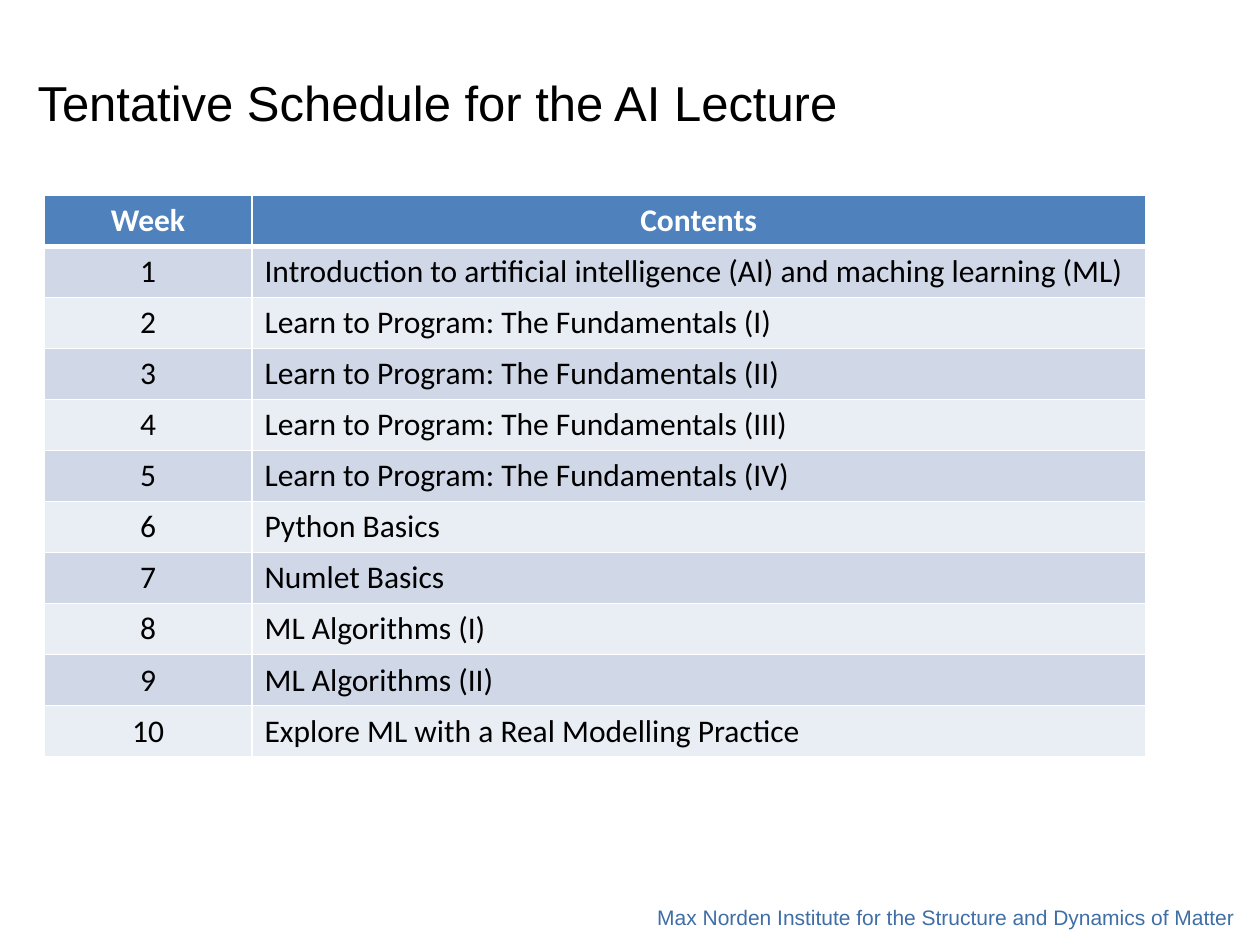
from dataclasses import dataclass

from pptx import Presentation
from pptx.dml.color import RGBColor
from pptx.enum.text import MSO_ANCHOR as Anchor, PP_ALIGN as Align
from pptx.oxml.ns import qn
from pptx.util import Inches, Pt
from lxml.etree import SubElement

SLIDE_W, SLIDE_H = 10, 7.5
WHITE, BLACK = "FFFFFF", "000000"
HEADER_FILL, BANDS = "4F81BD", ("D0D8E8", "E9EDF4")
TABLE_LEFT, TABLE_TOP, TABLE_H = 0.35, 1.55, 4.46
COLUMNS = (1.65, 7.09)

TOPICS = (
    "Introduction to artificial intelligence (AI) and maching learning (ML)",
    *(f"Learn to Program: The Fundamentals ({n})" for n in ("I", "II", "III", "IV")),
    "Python Basics",
    "Numlet Basics",
    *(f"ML Algorithms ({n})" for n in ("I", "II")),
    "Explore ML with a Real Modelling Practice",
)


@dataclass(frozen=True)
class Style:
    size: int
    color: str
    font: str = "Arial"
    bold: bool = False
    align: Align = Align.LEFT


@dataclass(frozen=True)
class Label:
    text: str
    left: float
    top: float
    width: float
    height: float
    style: Style


LABELS = (
    Label("Max Norden Institute for the Structure and Dynamics of Matter",
          2.03, 7.13, 7.87, 0.3, Style(12, "3F6EA7", align=Align.RIGHT)),
    Label("Tentative Schedule for the AI Lecture",
          0.2, 0, 8.5, 1.61, Style(28, BLACK)),
)


def rgb(color: str) -> RGBColor:
    return RGBColor.from_string(color)


def write(tf, text: str, style: Style) -> None:
    p = tf.paragraphs[0]
    p.alignment = style.align
    r = p.add_run()
    r.text = text
    r.font.name, r.font.size, r.font.bold = style.font, Pt(style.size), style.bold
    r.font.color.rgb = rgb(style.color)


def add_label(s, label: Label) -> None:
    box = (label.left, label.top, label.width, label.height)
    tf = s.shapes.add_textbox(*map(Inches, box)).text_frame
    tf.word_wrap = True
    tf.vertical_anchor = Anchor.MIDDLE
    write(tf, label.text, label.style)


def add_border(cell, side: str, width: float) -> None:
    ln = SubElement(cell._tc.get_or_add_tcPr(), qn(f"a:ln{side}"), w=str(Pt(width)))
    SubElement(SubElement(ln, qn("a:solidFill")), qn("a:srgbClr"), val=WHITE)


def fill_cell(cell, text: str, row: int, col: int) -> None:
    header = row == 0
    # Borders precede the fill; the rule under the header is thicker
    for side in "LRTB":
        under_header = (row, side) in ((0, "B"), (1, "T"))
        add_border(cell, side, 3 if under_header else 1)
    cell.fill.solid()
    cell.fill.fore_color.rgb = rgb(HEADER_FILL if header else BANDS[(row - 1) % 2])
    align = Align.CENTER if header or col == 0 else Align.LEFT
    write(cell.text_frame, text,
          Style(18, WHITE if header else BLACK, "Calibri", header, align))


def add_schedule(s) -> None:
    rows = [("Week", "Contents")]
    rows += [(str(week), topic) for week, topic in enumerate(TOPICS, 1)]
    box = (TABLE_LEFT, TABLE_TOP, sum(COLUMNS), TABLE_H)
    table = s.shapes.add_table(len(rows), len(COLUMNS), *map(Inches, box)).table
    for column, width in zip(table.columns, COLUMNS):
        column.width = Inches(width)
    for i, texts in enumerate(rows):
        table.rows[i].height = Inches(TABLE_H / len(rows))
        for j, text in enumerate(texts):
            fill_cell(table.cell(i, j), text, i, j)


def main() -> None:
    prs = Presentation()
    prs.slide_width, prs.slide_height = Inches(SLIDE_W), Inches(SLIDE_H)
    s = prs.slides.add_slide(prs.slide_layouts[6])
    # Footer and title
    for label in LABELS:
        add_label(s, label)
    # Weekly schedule
    add_schedule(s)
    prs.save("out.pptx")


if __name__ == "__main__":
    main()
